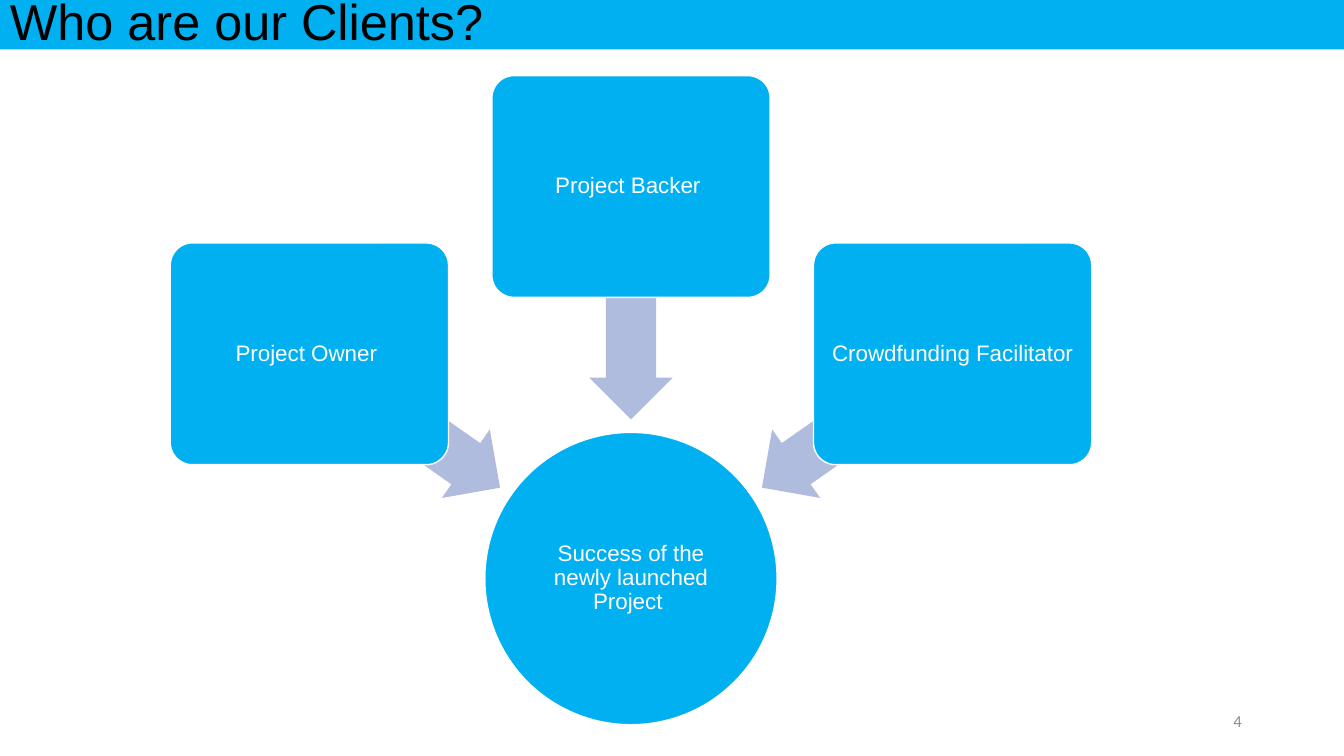
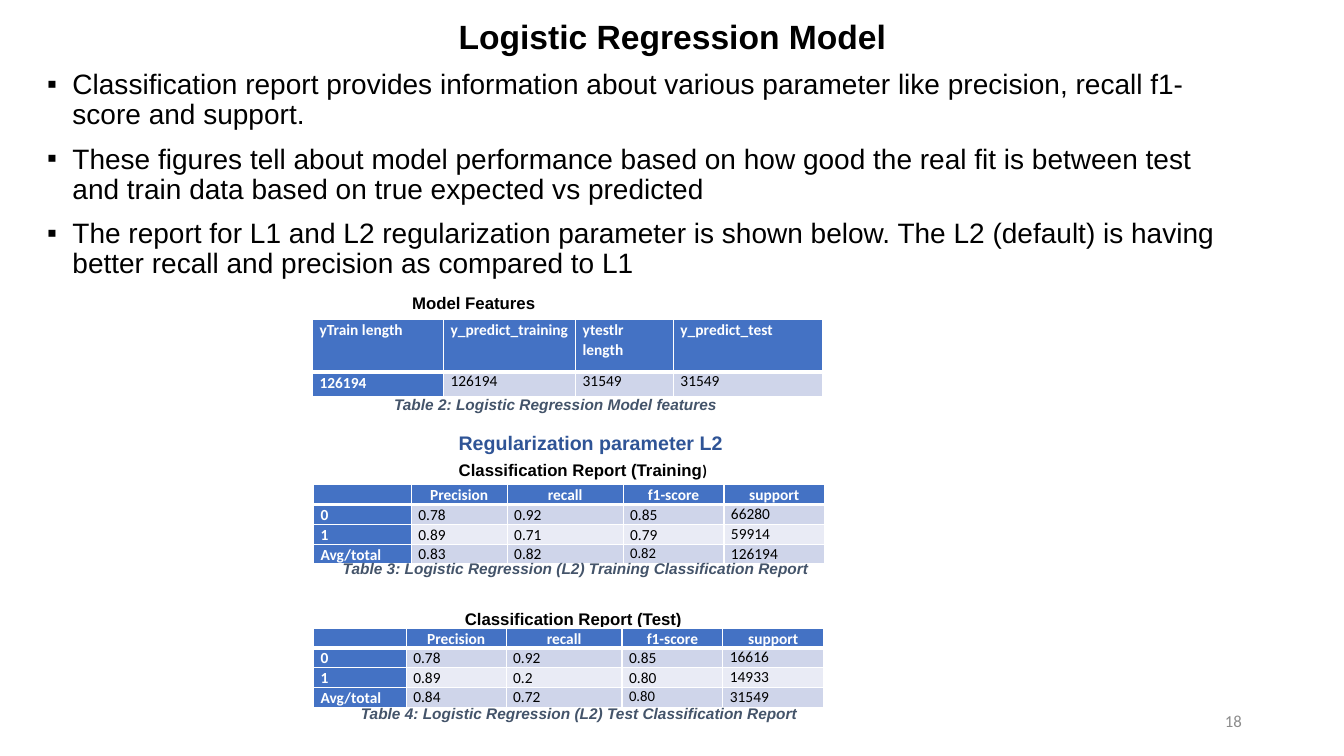
import dataclasses
import typing

import lxml.etree
import pptx
import pptx.dml.color
import pptx.enum.shapes
import pptx.enum.text
import pptx.oxml.ns
import pptx.util

SHAPE = pptx.enum.shapes.MSO_SHAPE
ALIGN = pptx.enum.text.PP_ALIGN
ANCHOR = pptx.enum.text.MSO_ANCHOR
qn = pptx.oxml.ns.qn


@dataclasses.dataclass(frozen=True)
class Theme:
    sans: str = "Arial"
    table_font: str = "Calibri"
    black: str = "000000"
    white: str = "FFFFFF"
    accent: str = "00B0F0"
    arrow: str = "B0BCDE"
    header: str = "4472C4"
    bands: tuple[str, str] = ("CFD5EA", "E9EBF5")
    caption: str = "44546A"
    subtitle: str = "2F5496"
    number: str = "8C8C8C"
    band_pt: float = 36
    heading_pt: float = 24
    body_pt: float = 20
    card_pt: float = 16
    subtitle_pt: float = 14
    label_pt: float = 12
    table_pt: float = 11
    small_pt: float = 10.5


T = Theme()
WIDTH, HEIGHT = pptx.util.Inches(13.33), pptx.util.Inches(7.5)


class Box(typing.NamedTuple):
    """A place on the slide, in percent of its width and height."""
    left: float
    top: float
    width: float
    height: float

    def emu(self) -> tuple[int, ...]:
        sides = (WIDTH, HEIGHT, WIDTH, HEIGHT)
        return tuple(round(v * side / 100) for v, side in zip(self, sides))

    @classmethod
    def around(cls, x: float, y: float, width: float, height: float) -> "Box":
        return cls(x - width / 2, y - height / 2, width, height)


@dataclasses.dataclass(frozen=True)
class Run:
    text: str
    size: float
    color: str = T.black
    font: str = T.sans
    bold: bool = False
    italic: bool = False


@dataclasses.dataclass(frozen=True)
class Para:
    runs: tuple[Run, ...]
    format: dict[str, typing.Any] = dataclasses.field(default_factory=dict)
    margin: float = 0
    indent: float = 0
    bullet: str = ""


class Table(typing.NamedTuple):
    left: float
    top: float
    cols: tuple[float, ...]
    row_heights: tuple[float, ...]
    rows: tuple[tuple[str, ...], ...]
    header_align: typing.Any
    small_cell: tuple[int, int] | None = None


# Text and shapes
def rgb(color: str) -> pptx.dml.color.RGBColor:
    return pptx.dml.color.RGBColor.from_string(color)


def apply(target: typing.Any, values: dict[str, typing.Any]) -> None:
    for name, value in values.items():
        setattr(target, name, value)


def write(tf: typing.Any, paras: typing.Sequence[Para], **frame: typing.Any) -> None:
    apply(tf, {"word_wrap": True, **frame})
    for i, para in enumerate(paras):
        p = tf.paragraphs[0] if i == 0 else tf.add_paragraph()
        apply(p, {"alignment": ALIGN.LEFT, **para.format})
        pPr = p._p.get_or_add_pPr()
        pPr.set("marL", str(pptx.util.Inches(para.margin)))
        pPr.set("indent", str(pptx.util.Inches(para.indent)))
        if para.bullet:
            lxml.etree.SubElement(pPr, qn("a:buFont"), typeface=T.sans)
            lxml.etree.SubElement(pPr, qn("a:buChar"), char=para.bullet)
        for run in para.runs:
            r = p.add_run()
            r.text = run.text
            apply(r.font, {"name": run.font, "size": pptx.util.Pt(run.size),
                           "bold": run.bold, "italic": run.italic})
            r.font.color.rgb = rgb(run.color)


def add_text(s: typing.Any, box: Box, *paras: Para, **frame: typing.Any) -> None:
    write(s.shapes.add_textbox(*box.emu()).text_frame, paras, **frame)


def add_shape(s: typing.Any, kind: typing.Any, box: Box, fill: str, outlined: bool = False) -> typing.Any:
    sp = s.shapes.add_shape(kind, *box.emu())
    sp.shadow.inherit = False
    sp.fill.solid()
    sp.fill.fore_color.rgb = rgb(fill)
    if outlined:
        sp.line.color.rgb = rgb(T.white)
        sp.line.width = pptx.util.Pt(1)
    else:
        sp.line.fill.background()
    return sp


def margins(inches: float) -> dict[str, int]:
    return {f"margin_{side}": pptx.util.Inches(inches) for side in ("left", "top", "right", "bottom")}


def add_page_number(s: typing.Any, number: int) -> None:
    run = Run(str(number), T.label_pt, T.number, T.table_font)
    add_text(s, Box(70.65, 92.67, 22.5, 5.33), Para((run,), {"alignment": ALIGN.RIGHT}),
             vertical_anchor=ANCHOR.MIDDLE)


# Tables
def add_borders(cell: typing.Any, bottom: float) -> None:
    tcPr = cell._tc.get_or_add_tcPr()
    for i, (side, points) in enumerate({"L": 1, "R": 1, "T": 1, "B": bottom}.items()):
        ln = lxml.etree.Element(qn(f"a:ln{side}"), w=str(pptx.util.Pt(points)))
        fill = lxml.etree.SubElement(ln, qn("a:solidFill"))
        lxml.etree.SubElement(fill, qn("a:srgbClr"), val=T.white)
        tcPr.insert(i, ln)


def add_table(s: typing.Any, spec: Table) -> None:
    box = Box(spec.left, spec.top, sum(spec.cols), sum(spec.row_heights))
    table = s.shapes.add_table(len(spec.rows), len(spec.cols), *box.emu()).table
    table.first_col = True
    for col, width in zip(table.columns, spec.cols):
        col.width = round(WIDTH * width / 100)
    for row, height in zip(table.rows, spec.row_heights):
        row.height = round(HEIGHT * height / 100)
    last_row, last_col = len(spec.rows) - 1, len(spec.cols) - 1
    for i, row in enumerate(spec.rows):
        for j, text in enumerate(row):
            cell = table.cell(i, j)
            heading = i == 0 or j == 0
            single = i > 0 and (j == last_col or (i == last_row and j > 0))
            apply(cell, {**margins(0), "margin_left": pptx.util.Inches(0.07),
                         "margin_right": pptx.util.Inches(0.07)})
            cell.fill.solid()
            cell.fill.fore_color.rgb = rgb(T.header if heading else T.bands[(i - 1) % 2])
            add_borders(cell, 3 if i == 0 else 1)
            if not text:
                end = lxml.etree.SubElement(cell.text_frame.paragraphs[0]._p, qn("a:endParaRPr"))
                end.set("sz", str(T.table_pt * 100))
                continue
            size = T.small_pt if (i, j) == spec.small_cell else T.table_pt
            run = Run(text, size, T.white if heading else T.black, T.table_font, heading)
            layout = {"alignment": spec.header_align if i == 0 else ALIGN.LEFT,
                      "line_spacing": 1.0 if single else 1.07}
            write(cell.text_frame, [Para((run,), layout)])


# Slide: clients
class Client(typing.NamedTuple):
    name: str
    column: int
    card_y: float
    arrow_y: float
    rotation: float


CLIENTS = (
    Client("Project Owner ", -1, 46.8, 55.67, 215),
    Client("Project Backer ", 0, 24.67, 40.07, 270),
    Client("Crowdfunding Facilitator", 1, 46.8, 55.67, 325),
)
CENTER_X, CARD_PITCH, ARROW_PITCH = 46.95, 23.93, 16.84


def add_node(s: typing.Any, kind: typing.Any, box: Box, text: str, inset: float) -> typing.Any:
    sp = add_shape(s, kind, box, T.accent, outlined=True)
    para = Para((Run(text, T.card_pt, T.white),), {"alignment": ALIGN.CENTER, "line_spacing": 0.9})
    write(sp.text_frame, [para], vertical_anchor=ANCHOR.MIDDLE, **margins(inset))
    return sp


def build_clients(s: typing.Any) -> None:
    add_node(s, SHAPE.OVAL, Box.around(CENTER_X, 76.53, 21.75, 38.67),
             "Success of the newly launched Project ", 0.01)
    for client in CLIENTS:
        arrow_x = CENTER_X + client.column * ARROW_PITCH
        arrow = add_shape(s, SHAPE.LEFT_ARROW, Box.around(arrow_x, client.arrow_y, 17.33, 11.07), T.arrow)
        arrow.adjustments[0], arrow.adjustments[1] = 0.6, 0.5
        arrow.rotation = client.rotation
        card_x = CENTER_X + client.column * CARD_PITCH
        card = add_node(s, SHAPE.ROUNDED_RECTANGLE, Box.around(card_x, client.card_y, 20.7, 29.33),
                        client.name, 0.03)
        card.adjustments[0] = 0.1
    band = add_shape(s, SHAPE.RECTANGLE, Box(0, 0, 100, 6.53), T.accent)
    title = Para((Run("Who are our Clients?", T.band_pt),), {"line_spacing": 0.9})
    write(band.text_frame, [title], vertical_anchor=ANCHOR.MIDDLE)
    add_page_number(s, 4)


# Slide: logistic regression
BULLETS = (
    "Classification report provides information about various parameter like precision, "
    "recall f1-score and support.",
    "These figures tell about model performance based on how good the real fit is between "
    "test and train data based on true expected vs predicted",
    "The report for L1 and L2 regularization parameter is shown below. The L2 (default) is "
    "having better recall and precision as compared to L1",
)
REPORT_HEAD = ("", "Precision", "recall", "f1-score", "support")
REPORT_ROWS = (2.6,) * 4
TABLES = (
    Table(23.25, 42.27, (9.75, 9.83, 7.28, 11.1), (6.93, 3.33), (
        ("yTrain length", "y_predict_training", "ytestlr length", "y_predict_test"),
        ("126194", "126194", "31549", "31549"),
    ), ALIGN.LEFT),
    Table(23.33, 64.13, (7.28, 7.13, 8.63, 7.5, 7.5), REPORT_ROWS, (
        REPORT_HEAD,
        ("0", "0.78", "0.92", "0.85", "66280"),
        ("1", "0.89", "0.71", "0.79", "59914"),
        ("Avg/total", "0.83", "0.82", "0.82", "126194"),
    ), ALIGN.CENTER, (3, 3)),
    Table(23.33, 83.07, (6.9, 7.43, 8.63, 7.5, 7.5), REPORT_ROWS, (
        REPORT_HEAD,
        ("0", "0.78", "0.92", "0.85", "16616"),
        ("1", "0.89", "0.2", "0.80", "14933"),
        ("Avg/total", "0.84", "0.72", "0.80", "31549"),
    ), ALIGN.CENTER, (3, 3)),
)
CAPTIONS = (
    (Box(21.9, 51.6, 39.38, 3.87), "Table 2: Logistic Regression Model features"),
    (Box(18.08, 73.33, 44.33, 3.87), "Table 3: Logistic Regression (L2) Training Classification Report"),
    (Box(19.43, 92.53, 44.33, 3.87), "Table 4: Logistic Regression (L2) Test Classification Report"),
)
REPORT_TITLES = (
    (Box(26.63, 60.8, 34.8, 2.8),
     (Run("Classification Report (Training", T.label_pt, bold=True),
      Run(")", T.table_pt, font=T.table_font, bold=True))),
    (Box(27.08, 80.53, 26.4, 2.67),
     (Run("Classification Report (Test)", T.label_pt, bold=True),)),
)


def build_regression(s: typing.Any) -> None:
    heading = Para((Run("Logistic Regression Model", T.heading_pt, bold=True),),
                   {"alignment": ALIGN.CENTER, "line_spacing": 0.9, "space_before": pptx.util.Pt(5)},
                   margin=0.5)
    spaced = {"line_spacing": 0.9, "space_before": pptx.util.Pt(10)}
    points = [Para((Run(text, T.body_pt),), spaced, 0.25, -0.25, "▪") for text in BULLETS]
    add_text(s, Box(2.78, 2, 90.75, 94.27), heading, *points)

    # Titles, tables and captions
    for box, runs in REPORT_TITLES:
        sp = add_shape(s, SHAPE.RECTANGLE, box, T.white)
        write(sp.text_frame, [Para(runs)], vertical_anchor=ANCHOR.MIDDLE,
              **{**margins(0), "margin_left": pptx.util.Inches(1)})
    for table in TABLES:
        add_table(s, table)
    after = {"space_after": pptx.util.Pt(10)}
    add_text(s, Box(23.25, 38.13, 25.95, 4),
             Para((Run("Model Features", T.label_pt, bold=True),), after, 0.39, 0.5))
    for box, text in CAPTIONS:
        run = Run(text, T.table_pt, T.caption, bold=True, italic=True)
        add_text(s, box, Para((run,), after, 0.39, 0.5))
    subtitle = Run("Regularization parameter L2", T.subtitle_pt, T.subtitle, bold=True)
    add_text(s, Box(18.38, 56.13, 43.05, 4.4),
             Para((subtitle,), {"line_spacing": 1.07, "space_before": pptx.util.Pt(2)}, margin=2))
    add_page_number(s, 18)


def main() -> None:
    prs = pptx.Presentation()
    prs.slide_width, prs.slide_height = WIDTH, HEIGHT
    for build in (build_clients, build_regression):
        build(prs.slides.add_slide(prs.slide_layouts[6]))
    prs.save("out.pptx")


if __name__ == "__main__":
    main()
